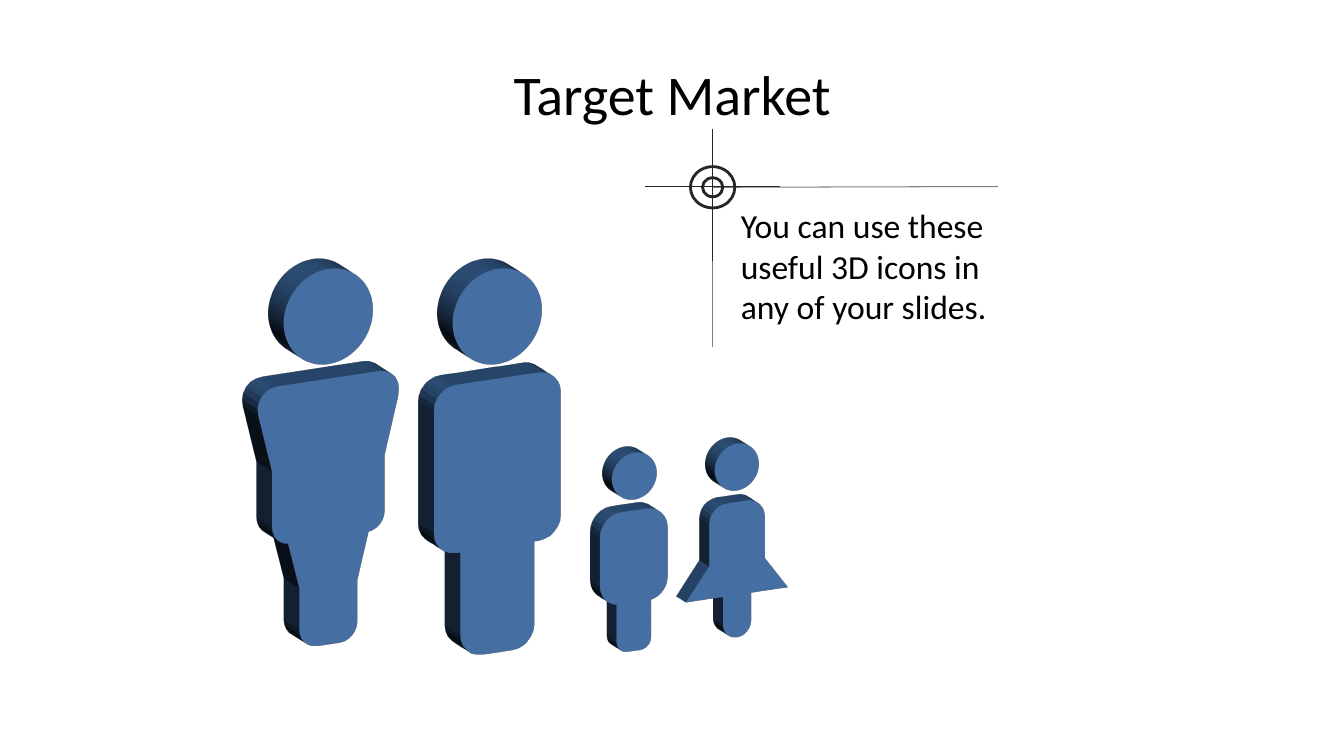
from lxml.etree import SubElement as Sub
from pptx import Presentation
from pptx.dml.color import RGBColor
from pptx.enum.shapes import MSO_CONNECTOR as Link, MSO_SHAPE as Kind
from pptx.enum.text import MSO_ANCHOR as Anchor, PP_ALIGN as Align
from pptx.oxml.ns import qn
from pptx.util import Cm, Pt

BLUE, DARK, GREY, BLACK = "376092", "262626", "808080", "000000"
STEPS = 6

FOLK = [
    (15.98, 11.38, 1.24, 200000, [
        (0.94, 12.78, 0.58), (0.94, 15.21, 0.56),
        (0.48, 15.21, 0), (0.48, 16.48, 0.3)]),
    (18.57, 11.15, 1.24, 200000, [
        (0.77, 12.57, 0.48), (0.77, 14.15, 0), (1.41, 15.01, 0),
        (0.39, 15.01, 0), (0.39, 16.13, 0.39)]),
    (8.28, 6.73, 2.49, 320000, [
        (2.13, 9.37, 0.74), (1.57, 11.61, 0), (1.57, 13.59, 0.5),
        (1.12, 13.59, 0), (0.81, 14.81, 0), (0.81, 16.41, 0.5)]),
    (12.53, 6.73, 2.49, 320000, [
        (1.77, 9.37, 0.61), (1.77, 13.82, 0.61),
        (1.03, 13.82, 0), (1.03, 16.61, 0.61)]),
]


def tint(text):
    return RGBColor.from_string(text)


def apply(item, form):
    for key, value in form.items():
        setattr(item, key, value)


def ink(line, color, width):
    line.color.rgb = tint(color)
    line.width = Pt(width)


def label(slide, box, text, size, form, align):
    shape = slide.shapes.add_textbox(*map(Cm, box))
    frame = shape.text_frame
    apply(frame, {"word_wrap": True, **form})
    para = frame.paragraphs[0]
    para.alignment = align
    run = para.add_run()
    run.text = text
    apply(run.font, {"name": "Calibri", "size": Pt(size)})
    run.font.color.rgb = tint(BLACK)


def solid(shape, depth):
    shape.fill.solid()
    shape.fill.fore_color.rgb = tint(BLUE)
    shape.line.fill.background()
    shape.shadow.inherit = False
    props = shape.element.spPr
    scene = Sub(props, qn("a:scene3d"))
    Sub(scene, qn("a:camera"), prst="isometricOffAxis1Right")
    Sub(scene, qn("a:lightRig"), rig="threePt", dir="t")
    Sub(props, qn("a:sp3d"), extrusionH=str(depth))


def toward(start, end, cut):
    dx, dy = end[0] - start[0], end[1] - start[1]
    part = cut / (dx * dx + dy * dy) ** 0.5
    return start[0] + dx * part, start[1] + dy * part


def curve(prev, corner, after):
    cut = corner[2]
    if not cut:
        return [corner[:2]]
    knots = [toward(corner, prev, cut), toward(corner, prev, cut * 0.45),
             toward(corner, after, cut * 0.45), toward(corner, after, cut)]
    points = []
    for step in range(STEPS + 1):
        t = step / STEPS
        parts = [(1 - t) ** 3, 3 * t * (1 - t) ** 2, 3 * t * t * (1 - t), t ** 3]
        points.append(tuple(sum(w * k[axis] for w, k in zip(parts, knots))
                            for axis in (0, 1)))
    return points


def body(group, mid, half, depth):
    ring = half + [(-x, y, cut) for x, y, cut in reversed(half)]
    points = []
    for i, corner in enumerate(ring):
        points += curve(ring[i - 1], corner, ring[(i + 1) % len(ring)])
    spots = [(Cm(mid + x), Cm(y)) for x, y in points]
    draft = group.shapes.build_freeform(*spots[0], scale=1.0)
    draft.add_line_segments(spots[1:], close=True)
    solid(draft.convert_to_shape(), depth)


def person(slide, mid, top, size, depth, half):
    group = slide.shapes.add_group_shape()
    body(group, mid, half, depth)
    head = group.shapes.add_shape(
        Kind.OVAL, Cm(mid - size / 2), Cm(top), Cm(size), Cm(size))
    solid(head, depth)


def stroke(group, ends, color):
    line = group.shapes.add_connector(Link.STRAIGHT, *map(Cm, ends))
    ink(line.line, color, 0.75)
    Sub(line.element.spPr, qn("a:effectLst"))


def hoop(group, mid, wide, high):
    x, y = mid
    oval = group.shapes.add_shape(
        Kind.OVAL, Cm(x - wide / 2), Cm(y - high / 2), Cm(wide), Cm(high))
    oval.fill.background()
    ink(oval.line, DARK, 2)
    oval.shadow.inherit = False


def target(slide):
    group = slide.shapes.add_group_shape()
    x, y = mid = 17.96, 4.72
    stroke(group, (25.15, 4.7, x, y), GREY)
    stroke(group, (x, y, x, 8.74), GREY)
    hoop(group, mid, 1.12, 1.04)
    hoop(group, mid, 0.51, 0.48)
    stroke(group, (x, 3.25, x, 6.58), DARK)
    stroke(group, (16.26, 4.7, 19.66, 4.7), DARK)


def main():
    deck = Presentation()
    apply(deck, {"slide_width": Cm(33.87), "slide_height": Cm(19.05)})
    slide = deck.slides.add_slide(deck.slide_layouts[6])
    label(slide, (1.7, 0.76, 30.48, 3.18), "Target Market", 40,
          {"vertical_anchor": Anchor.MIDDLE}, Align.CENTER)
    for one in FOLK:
        person(slide, *one)
    label(slide, (18.42, 5.05, 7.62, 3.33),
          "You can use these useful 3D icons in any of your slides.", 24,
          {"vertical_anchor": Anchor.TOP}, Align.LEFT)
    target(slide)
    deck.save("out.pptx")


if __name__ == "__main__":
    main()
